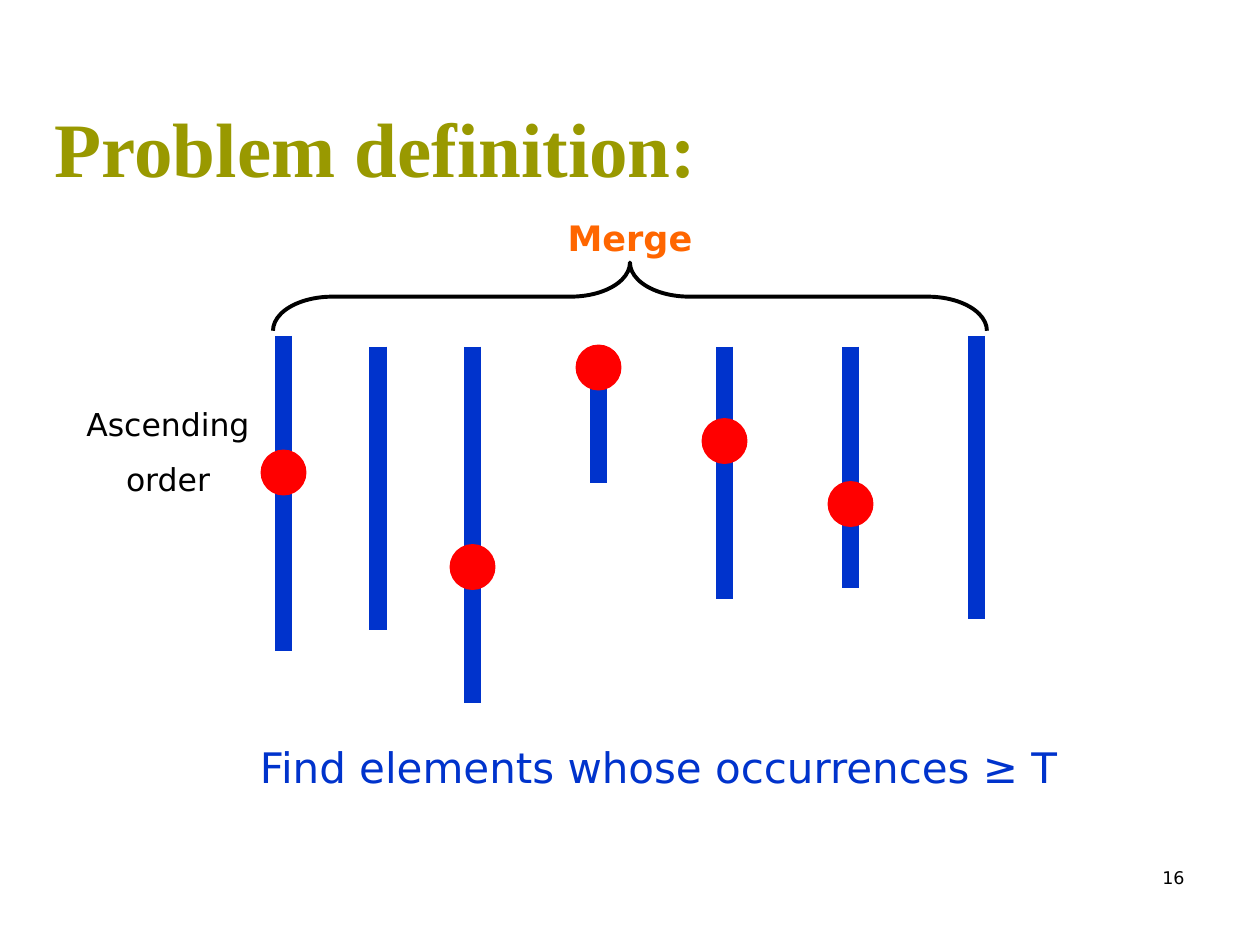
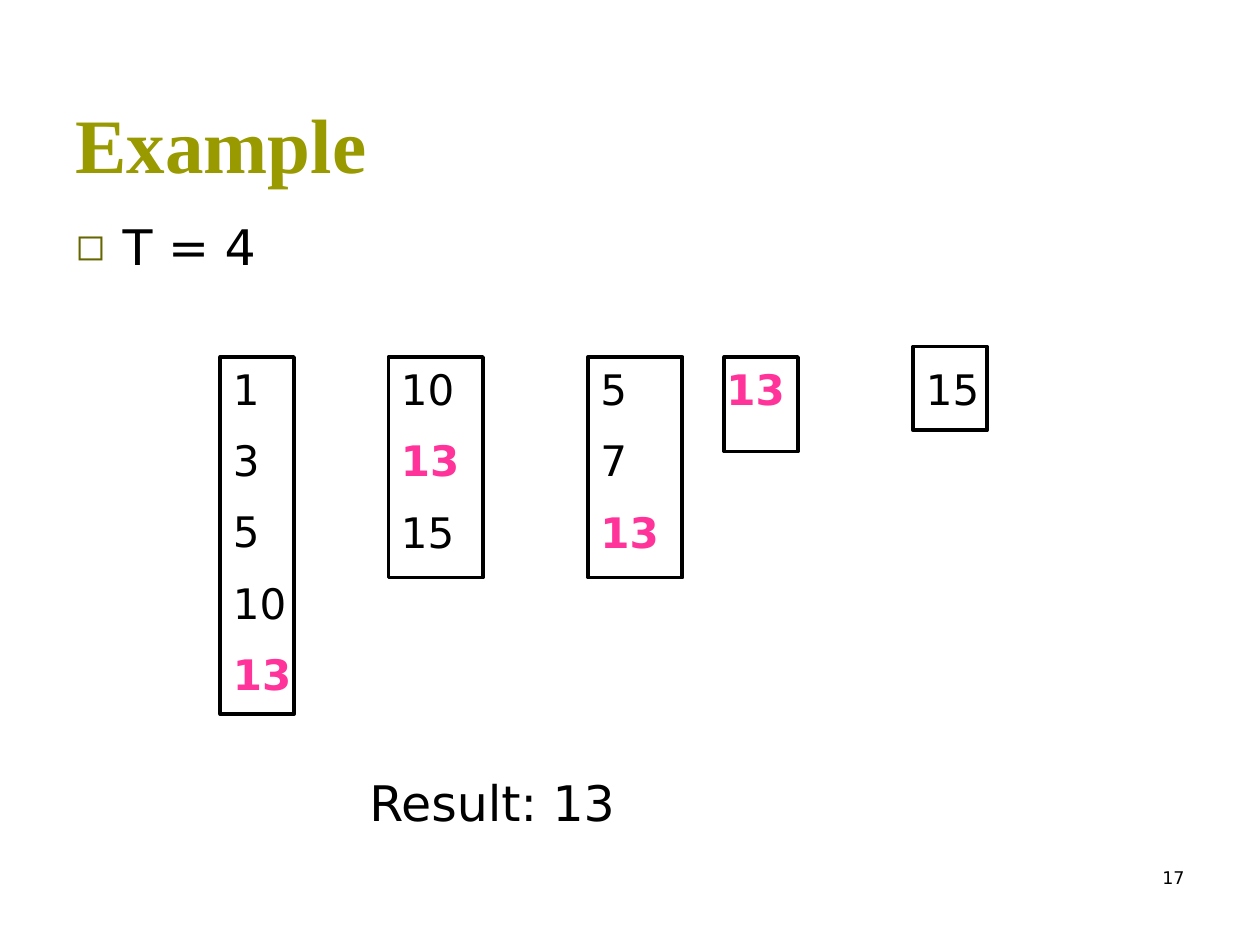
import pptx
import pptx.util
import pptx.dml.color
import pptx.enum.shapes
import pptx.enum.text
import pptx.oxml
import pptx.oxml.ns
import lxml.etree

Pt = pptx.util.Pt
Align = pptx.enum.text.PP_ALIGN
Anchor = pptx.enum.text.MSO_ANCHOR
Shape = pptx.enum.shapes.MSO_SHAPE

OLIVE, DARK_OLIVE = "999900", "666600"
BLACK, BLUE, RED = "000000", "0033CC", "FF0000"
ORANGE, PINK = "FF6600", "FF3399"
BODY_FONT, TITLE_FONT = "DejaVu Sans", "Times New Roman"
TITLE_ONLY = 5


def rgb(hex_string):
    return pptx.dml.color.RGBColor.from_string(hex_string)


class SlideBuilder:
    """Holds the presentation, its style and the current slide."""

    def __init__(self):
        self.presentation = pptx.Presentation()
        self.presentation.slide_width = Pt(720)
        self.presentation.slide_height = Pt(540)
        self.slide = None

    def start(self, title, number, left, top):
        layout = self.presentation.slide_layouts[TITLE_ONLY]
        self.slide = self.presentation.slides.add_slide(layout)
        shape = self.slide.shapes.title
        for name, value in dict(left=left, top=top, width=648, height=90).items():
            setattr(shape, name, Pt(value))
        self.fill_text(shape, [title], size=44, color=OLIVE, bold=True,
                       font=TITLE_FONT, anchor=Anchor.BOTTOM)
        self.text(516, 492, 168, 36, [str(number)], size=10, align=Align.RIGHT)

    def fill_text(self, shape, lines, size, color=BLACK, bold=False, font=BODY_FONT,
                  align=Align.LEFT, anchor=Anchor.TOP, gap=0, highlight=None):
        frame = shape.text_frame
        settings = dict(word_wrap=True, vertical_anchor=anchor,
                        auto_size=pptx.enum.text.MSO_AUTO_SIZE.NONE)
        for name, value in settings.items():
            setattr(frame, name, value)
        for index, line in enumerate(lines):
            paragraph = frame.add_paragraph() if index else frame.paragraphs[0]
            paragraph.alignment = align
            if index:
                paragraph.space_before = Pt(gap)
            run = paragraph.add_run()
            run.text = line
            marked = line == highlight
            for name, value in dict(name=font, size=Pt(size), bold=bold or marked).items():
                setattr(run.font, name, value)
            run.font.color.rgb = rgb(PINK if marked else color)

    def text(self, left, top, width, height, lines, **style):
        shape = self.slide.shapes.add_textbox(Pt(left), Pt(top), Pt(width), Pt(height))
        self.fill_text(shape, lines, **style)
        return shape

    def bullet(self, left, top, width, height, line, size):
        shape = self.text(left, top, width, height, [line], size=size)
        properties = shape.text_frame.paragraphs[0]._p.get_or_add_pPr()
        properties.set("marL", str(Pt(27)))
        properties.set("indent", str(-Pt(27)))
        namespace = pptx.oxml.ns.nsdecls("a")
        for element in (
            f'<a:buClr {namespace}><a:srgbClr val="{DARK_OLIVE}"/></a:buClr>',
            f'<a:buSzPct {namespace} val="75000"/>',
            f'<a:buFont {namespace} typeface="{BODY_FONT}"/>',
            f'<a:buChar {namespace} char="◻"/>',
        ):
            properties.append(pptx.oxml.parse_xml(element))

    def shape(self, kind, left, top, width, height, line, fill=None):
        shape = self.slide.shapes.add_shape(kind, Pt(left), Pt(top), Pt(width), Pt(height))
        shape.shadow.inherit = False
        if fill:
            shape.fill.solid()
            shape.fill.fore_color.rgb = rgb(fill)
        else:
            shape.fill.background()
        shape.line.color.rgb = rgb(line)
        shape.line.width = Pt(2.25)
        return shape

    def bar(self, x, top, bottom):
        connector = self.slide.shapes.add_connector(
            pptx.enum.shapes.MSO_CONNECTOR.STRAIGHT, Pt(x), Pt(top), Pt(x), Pt(bottom))
        connector.line.color.rgb = rgb(BLUE)
        connector.line.width = Pt(10)
        lxml.etree.SubElement(connector._element.spPr, pptx.oxml.ns.qn("a:effectLst"))

    def dot(self, x, y, radius=12):
        self.shape(Shape.OVAL, x - radius, y - radius, 2 * radius, 2 * radius, RED, RED)


def build_problem(builder):
    builder.start("Problem definition:", 16, 24, 24)

    # Sorted lists as bars: x, top, bottom, height of the marked element
    bars = [
        (162, 192, 372, 270),
        (216, 198, 360, None),
        (270, 198, 402, 324),
        (342, 198, 276, 210),
        (414, 198, 342, 252),
        (486, 198, 336, 288),
        (558, 192, 354, None),
    ]
    for x, top, bottom, mark in bars:
        builder.bar(x, top, bottom)
        if mark:
            builder.dot(x, mark)

    # Brace over all lists, turned to point up
    brace = builder.shape(Shape.RIGHT_BRACE, 340.5, -34.5, 39, 408, BLACK)
    brace.rotation = 270
    brace.adjustments[0] = 0.87

    # Labels
    builder.text(216, 120, 288, 31, ["Merge"], size=20, color=ORANGE, bold=True,
                 align=Align.CENTER)
    builder.text(30, 228, 132, 61, ["Ascending", "order"], size=18,
                 align=Align.CENTER, gap=10)
    builder.text(134, 420, 485, 36, ["Find elements whose occurrences ≥ T"], size=24,
                 color=BLUE, align=Align.CENTER)


def build_example(builder):
    builder.start("Example", 17, 36, 21.6)
    builder.bullet(36, 120, 648, 48, "T = 4", 28)

    # Lists: values, text left and width, frame left, top, width and height
    columns = [
        (["1", "3", "5", "10", "13"], 126, 66, (126, 204, 42, 204)),
        (["10", "13", "15"], 222, 72, (222, 204, 54, 126)),
        (["5", "7", "13"], 336, 60, (336, 204, 54, 126)),
        (["13"], 408, 60, (414, 204, 42, 54)),
        (["15"], 522, 60, (522, 198, 42, 48)),
    ]
    for values, left, width, frame in columns:
        builder.shape(Shape.RECTANGLE, *frame, BLACK)
        builder.text(left, 204, width, 40 * len(values), values, size=24, gap=12,
                     highlight="13")

    builder.text(204, 438, 384, 41, ["Result: 13"], size=28)


def main():
    builder = SlideBuilder()
    build_problem(builder)
    build_example(builder)
    builder.presentation.save("out.pptx")


if __name__ == "__main__":
    main()
